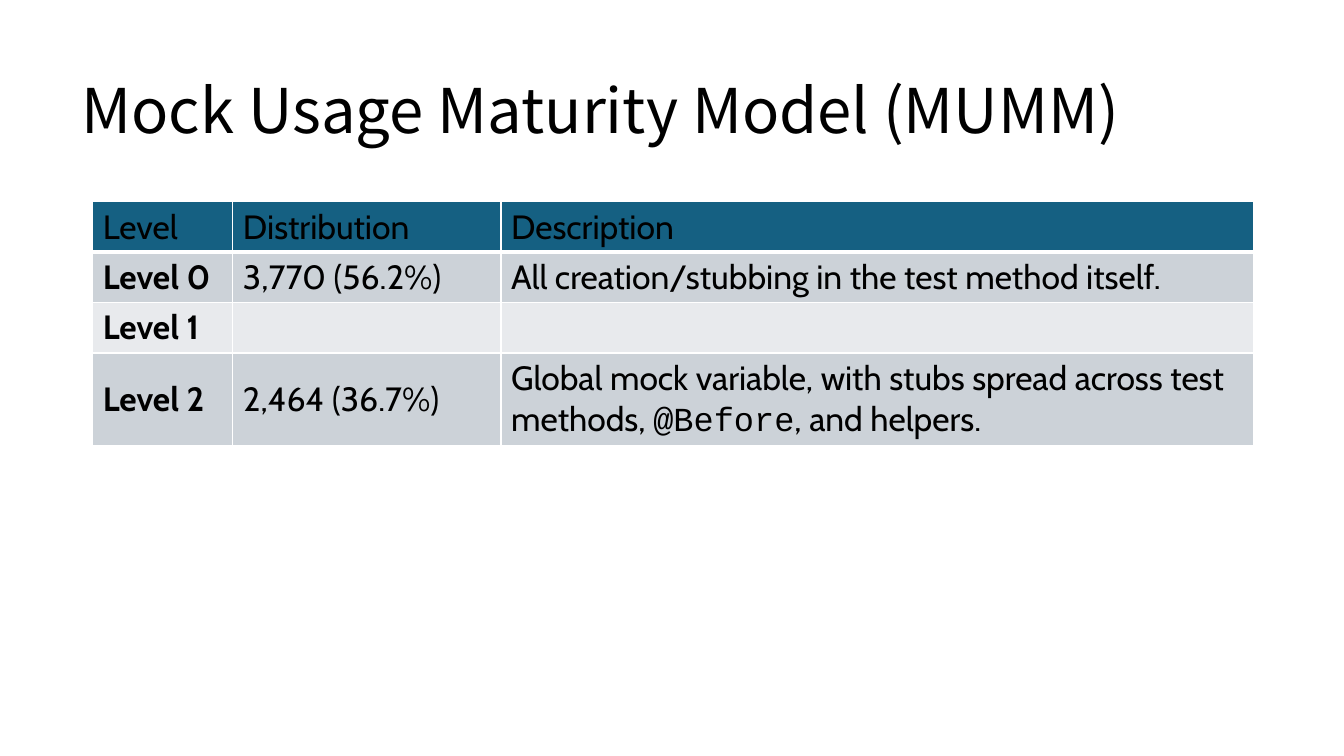
from pptx import Presentation
from pptx import util as u
from pptx.dml import color
from pptx.enum import text
from pptx.oxml import parse_xml
from pptx.oxml import ns

WIDTHS = [1.39, 2.66, 7.46]
HEIGHTS = [0.5, 0.5, 0.5, 0.92]
ROWS = [
    ["Level", "Distribution", "Description"],
    ["Level 0", "3,770 (56.2%)",
     "All creation/stubbing in the test method itself."],
    ["Level 1", "", ""],
    ["Level 2", "2,464 (36.7%)",
     "Global mock variable, with stubs spread across test methods, "
     "`@Before`, and helpers."],
]


def rgb(code):
    return color.RGBColor.from_string(code)


class Deck:
    ink, line = "000000", "FFFFFF"
    head, bands = "156082", ["E8EAED", "CCD2D8"]
    title_font, body, mono = "Noto Sans CJK SC", "Cabin", "Courier New"

    def __init__(self):
        self.prs = Presentation()
        self.prs.slide_width = u.Inches(13.33)
        self.prs.slide_height = u.Inches(7.5)
        self.slide = self.prs.slides.add_slide(self.prs.slide_layouts[6])

    def style(self, run, face, size, bold=False):
        font = run.font
        font.name, font.size, font.bold = face, u.Pt(size), bold
        font.color.rgb = rgb(self.ink)

    def title(self, words, *box):
        frame = self.slide.shapes.add_textbox(*map(u.Inches, box)).text_frame
        frame.word_wrap = True
        frame.vertical_anchor = text.MSO_ANCHOR.MIDDLE
        frame.text = words
        para = frame.paragraphs[0]
        para.line_spacing = 0.9
        self.style(para.runs[0], self.title_font, 44)

    def border(self, cell, header):
        props = cell._tc.get_or_add_tcPr()
        for side in "LRTB":
            width = u.Pt(3 if header and side == "B" else 1)
            props.append(parse_xml(
                f'<a:ln{side} {ns.nsdecls("a")} w="{width}"><a:solidFill>'
                f'<a:srgbClr val="{self.line}"/></a:solidFill></a:ln{side}>'))

    def cell(self, cell, words, row, col):
        """Fill one cell; words between backticks are set as code."""
        self.border(cell, row == 0)
        cell.fill.solid()
        cell.fill.fore_color.rgb = rgb(self.bands[row % 2] if row else self.head)
        cell.vertical_anchor = text.MSO_ANCHOR.MIDDLE
        if not words:
            return
        para = cell.text_frame.paragraphs[0]
        for part, piece in enumerate(words.split("`")):
            run = para.add_run()
            run.text = piece
            face = self.mono if part % 2 else self.body
            self.style(run, face, 24, row > 0 and col == 0)

    def table(self, rows, widths, heights, left, top):
        box = map(u.Inches, (left, top, sum(widths), sum(heights)))
        grid = self.slide.shapes.add_table(len(rows), len(widths), *box).table
        for col, width in zip(grid.columns, widths):
            col.width = u.Inches(width)
        for row, height in zip(grid.rows, heights):
            row.height = u.Inches(height)
        for r, row in enumerate(rows):
            for c, words in enumerate(row):
                self.cell(grid.cell(r, c), words, r, c)


def main():
    deck = Deck()
    deck.title("Mock Usage Maturity Model (MUMM)", 0.71, 0.4, 11.71, 1.45)
    deck.table(ROWS, WIDTHS, HEIGHTS, 0.92, 2)
    deck.prs.save("out.pptx")


if __name__ == "__main__":
    main()
